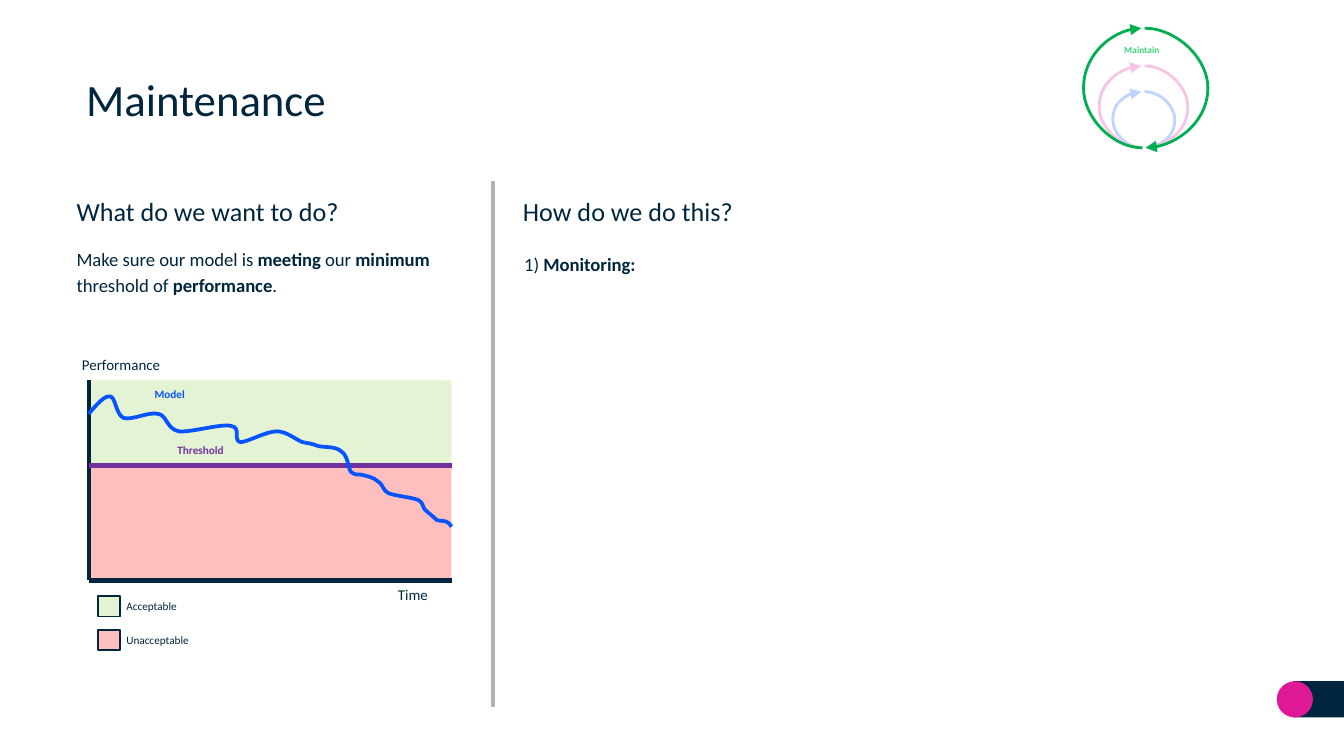
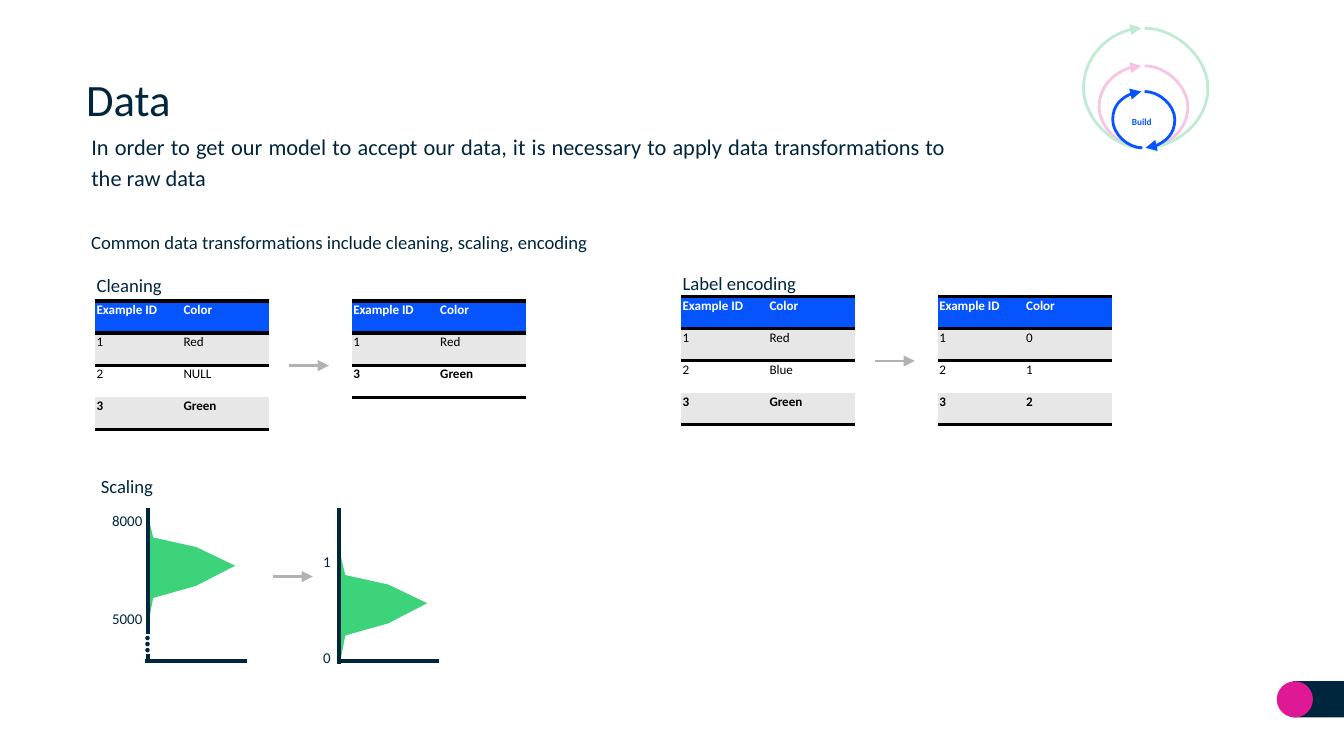
from lxml import etree
from pptx import Presentation
from pptx.dml.color import RGBColor
from pptx.enum.shapes import MSO_CONNECTOR, MSO_SHAPE
from pptx.enum.text import MSO_ANCHOR, MSO_AUTO_SIZE, PP_ALIGN
from pptx.oxml.ns import qn
from pptx.util import Pt

RECT, OVAL = MSO_SHAPE.RECTANGLE, MSO_SHAPE.OVAL
STRAIGHT, CURVE = MSO_CONNECTOR.STRAIGHT, MSO_CONNECTOR.CURVE
LEFT, CENTER = PP_ALIGN.LEFT, PP_ALIGN.CENTER
RIGHT, JUSTIFY = PP_ALIGN.RIGHT, PP_ALIGN.JUSTIFY
MIDDLE = MSO_ANCHOR.MIDDLE
NO_FIT, GROW = MSO_AUTO_SIZE.NONE, MSO_AUTO_SIZE.SHAPE_TO_FIT_TEXT

FONT = "Calibri"
NAVY, BLUE, PINK, GREEN = "00263E", "0654FE", "DF1995", "00B050"
MINT, PURPLE, GRAY, STRIPE = "3DD37A", "7030A0", "B2B2B2", "E7E7E7"
LIME, RED, WHITE, BLACK = "92D050", "FF0000", "FFFFFF", "000000"
PLAIN_TABLE = "{2D5ABB26-0587-4C30-8999-92F81FD0307C}"

# loop: colour, top, left bulge, right bulge
LOOPS = {
    "Build": (BLUE, 49, 15.9, 16.2),
    "Improve": (PINK, 35.3, 23.2, 23.2),
    "Maintain": (GREEN, 15.1, 31.6, 34),
}
MODEL_START = (47.5, 221.8)
MODEL_CURVE = [
    (51.8, 216.7), (56.2, 211.7), (59, 212.4), (61.9, 212.4), (61.9, 221.8), (66.2, 223.9),
    (70.6, 225.4), (79.9, 220.3), (85, 221.8), (89.3, 222.5), (89.3, 229.7), (95.8, 231.1),
    (102.2, 231.8), (118.8, 226.8), (123.8, 228.2), (129.6, 229), (124.6, 236.2), (128.9, 236.9),
    (132.5, 236.9), (142.6, 231.1), (148.3, 231.1), (153.4, 231.1), (158.4, 235.4), (162, 236.9),
    (165.6, 237.6), (167, 237.6), (170.6, 239), (174.2, 239.8), (180, 239), (182.9, 241.9),
    (186.5, 244.1), (186.5, 250.6), (187.9, 252.7), (190.1, 254.9), (193, 254.2), (193, 254.2),
    (195.8, 254.9), (200.2, 255.6), (202.3, 257.8), (205.2, 259.2), (204.5, 262.1), (208.1, 264.2),
    (211.7, 265.7), (220.3, 266.4), (223.9, 267.8), (226.8, 269.3), (226.1, 270.7), (227.5, 272.9),
    (229, 274.3), (232.6, 277.2), (234, 278.6), (236.2, 279.4), (237.6, 278.6), (239, 279.4),
    (240.5, 280.1), (241.2, 280.8), (241.9, 282.2),
]
DISTRIBUTION = [(0, 0), (3.6, 15.1), (26.6, 20.2), (47.5, 30.2), (26.6, 41), (3.6, 47.5), (0.7, 62.6)]


def rgb(color):
    return RGBColor.from_string(color)


class Deck:
    """Holds the shared style and the slide being built."""

    def __init__(self):
        self.prs = Presentation()
        self.prs.slide_width, self.prs.slide_height = Pt(720), Pt(405)
        self.slide = None

    def new_slide(self, title):
        self.slide = self.prs.slides.add_slide(self.prs.slide_layouts[5])
        self.shape(RECT, 692.6, 365, 27.4, 19.4, NAVY)
        self.shape(OVAL, 684, 365, 19.4, 19.4, PINK)
        heading = self.slide.shapes.title
        heading.left, heading.top, heading.width, heading.height = Pt(38.9), Pt(33.1), Pt(644.4), Pt(39.6)
        self.set_text(heading.text_frame, title, 24, inset=7.2)
        heading.text_frame.auto_size = NO_FIT
        heading.text_frame.vertical_anchor = MIDDLE

    def set_text(self, frame, text, size, color=NAVY, bold=False, align=LEFT, inset=0.7):
        frame.word_wrap = True
        frame.margin_left = frame.margin_right = frame.margin_top = frame.margin_bottom = Pt(inset)
        paragraph = frame.paragraphs[0]
        paragraph.alignment = align
        for i, part in enumerate(text.split("*")):
            if part:
                run = paragraph.add_run()
                run.text = part
                font = run.font
                font.name, font.size, font.bold = FONT, Pt(size), bold or i % 2 == 1
                font.color.rgb = rgb(color)

    def text(self, x, y, w, h, text, size, color=NAVY, bold=False, align=LEFT):
        frame = self.slide.shapes.add_textbox(Pt(x), Pt(y), Pt(w), Pt(h)).text_frame
        self.set_text(frame, text, size, color, bold, align)
        frame.paragraphs[0].line_spacing = 1.15
        frame.auto_size = GROW

    def paint(self, shape, fill=None, line=None, width=1, alpha=None):
        shape.shadow.inherit = False
        if fill:
            shape.fill.solid()
            shape.fill.fore_color.rgb = rgb(fill)
        else:
            shape.fill.background()
        if alpha:
            tint = shape._element.spPr.find(qn("a:solidFill"))[0]
            etree.SubElement(tint, qn("a:alpha")).set("val", str(alpha * 1000))
        if line:
            shape.line.color.rgb = rgb(line)
            shape.line.width = Pt(width)
        else:
            shape.line.fill.background()

    def shape(self, kind, x, y, w, h, fill, line=None, alpha=None):
        shape = self.slide.shapes.add_shape(kind, Pt(x), Pt(y), Pt(w), Pt(h))
        self.paint(shape, fill, line, alpha=alpha)

    def line(self, x1, y1, x2, y2, color, width=2.25, arrow=False, kind=STRAIGHT):
        link = self.slide.shapes.add_connector(kind, Pt(x1), Pt(y1), Pt(x2), Pt(y2))
        link.line.color.rgb = rgb(color)
        link.line.width = Pt(width)
        properties = link._element.spPr
        if arrow:
            etree.SubElement(properties.find(qn("a:ln")), qn("a:tailEnd")).set("type", "triangle")
        etree.SubElement(properties, qn("a:effectLst"))
        return properties

    def arrow(self, x, y):
        self.line(x, y, x + 21.4, y, GRAY, 1.5, arrow=True)

    def arc(self, x, top, bulge, color, turned=False):
        span = 0.54
        properties = self.line(x, top, x + span, 79.2, color, 1.5, True, CURVE)
        if turned:
            properties.find(qn("a:xfrm")).set("rot", "10800000")
        guides = properties.find(qn("a:prstGeom")).find(qn("a:avLst"))
        guide = etree.SubElement(guides, qn("a:gd"))
        guide.set("name", "adj1")
        guide.set("fmla", f"val {round(bulge / span * 100000)}")

    def loops(self, active, label_top, label_color):
        others = [name for name in LOOPS if name != active]
        for name in others + [active]:
            if name == active:
                self.shape(OVAL, 577.4, 10.8, 72, 72, WHITE, alpha=75)
            color, top, left_bulge, right_bulge = LOOPS[name]
            self.arc(611.4, top, left_bulge, color, turned=True)
            self.arc(613.2, top, right_bulge, color)
        self.text(585.4, label_top, 52.6, 8.6, active, 5, label_color, True, CENTER)

    def outline(self, start, points, closed):
        builder = self.slide.shapes.build_freeform(Pt(start[0]), Pt(start[1]))
        builder.add_line_segments([(Pt(x), Pt(y)) for x, y in points], close=closed)
        return builder.convert_to_shape()

    def curve(self, start, controls, color, width):
        shape = self.outline(start, controls, False)
        self.paint(shape, line=color, width=width)
        route = next(shape._element.iter(qn("a:path")))
        steps = route.findall(qn("a:lnTo"))
        for i in range(0, len(steps), 3):
            bend = etree.SubElement(route, qn("a:cubicBezTo"))
            for step in steps[i:i + 3]:
                bend.append(step[0])
                route.remove(step)

    def distribution(self, x, y):
        points = [(x + dx, y + dy) for dx, dy in DISTRIBUTION]
        self.paint(self.outline(points[0], points[1:], True), MINT)

    def rule_cell(self, cell, sides):
        for side in sides:
            border = etree.SubElement(cell._tc.get_or_add_tcPr(), qn(f"a:ln{side}"))
            border.set("w", str(Pt(2)))
            paint = etree.SubElement(border, qn("a:solidFill"))
            etree.SubElement(paint, qn("a:srgbClr")).set("val", BLACK)

    def table(self, x, y, records):
        rows = [("Example ID", "Color")] + records
        last = len(rows) - 1
        table = self.slide.shapes.add_table(
            len(rows), 2, Pt(x), Pt(y), Pt(93.2), Pt(17.2 * len(rows))).table
        table._tbl.tblPr.find(qn("a:tableStyleId")).text = PLAIN_TABLE
        for column in table.columns:
            column.width = Pt(46.6)
        for r, values in enumerate(rows):
            table.rows[r].height = Pt(17.2)
            fill = BLUE if r == 0 else STRIPE if r % 2 else WHITE
            sides = "TB" if r == 0 else "B" if r == last else "T" if r == 1 else ""
            for c, value in enumerate(values):
                cell = table.cell(r, c)
                self.set_text(cell.text_frame, value, 7, BLACK if r else WHITE, r in (0, last))
                cell.margin_left = cell.margin_right = cell.margin_top = cell.margin_bottom = Pt(0.7)
                self.rule_cell(cell, sides)
                cell.fill.solid()
                cell.fill.fore_color.rgb = rgb(fill)


def maintenance(deck):
    deck.new_slide("Maintenance")
    deck.loops("Maintain", 22.3, MINT)
    for x, question in ((40.3, "What do we want to do?"), (279.4, "How do we do this?")):
        deck.text(x, 101.5, 215.3, 20.9, question, 14)
    deck.text(40.3, 130.3, 223.9, 29.5,
              "Make sure our model is *meeting* our *minimum* threshold of *performance*.", 10)
    deck.text(280.1, 133.2, 92.9, 15.1, "1) *Monitoring:*", 10)
    deck.line(264.2, 97.2, 264.2, 378.7, GRAY)

    left, right, top, threshold, bottom = 47.5, 241.9, 203.8, 249.5, 311
    deck.shape(RECT, left, threshold, right - left, bottom - threshold, RED, alpha=25)
    deck.shape(RECT, left, top, right - left, threshold - top, LIME, alpha=25)
    deck.line(left, top, left, bottom, NAVY)
    deck.line(right, bottom, left, bottom, NAVY)
    deck.line(right, threshold, left, threshold, PURPLE, 3)
    deck.curve(MODEL_START, MODEL_CURVE, BLUE, 2)
    deck.text(43.2, 188.6, 72, 15.8, "Performance", 8)
    deck.text(212.4, 311.8, 35.3, 15.8, "Time", 8)
    deck.text(82.1, 205.9, 35.3, 12.2, "Model", 6, BLUE, True)
    deck.text(94.3, 235.8, 59, 12.2, "Threshold", 6, PURPLE, True)
    for i, (zone, color) in enumerate((("Acceptable", LIME), ("Unacceptable", RED))):
        y = 319.5 + 18 * i
        deck.shape(RECT, 52.6, y, 11.5, 10.8, color, NAVY, alpha=25)
        deck.text(67, y, 74.2, 12.2, zone, 6)


def data(deck):
    deck.new_slide("Data")
    deck.loops("Build", 60.5, BLUE)
    deck.text(48.2, 68.4, 459.4, 34.6,
              "In order to get our model to accept our data, it is necessary to apply "
              "data transformations to the raw data", 12, align=JUSTIFY)
    deck.text(48.2, 121, 480.2, 15.1,
              "Common data transformations include cleaning, scaling, encoding", 10)

    examples = (
        ("Cleaning", 51.1, 144, 161.3,
         [("1", "Red"), ("2", "NULL"), ("3", "Green")], [("1", "Red"), ("3", "Green")]),
        ("Label encoding", 365, 143.3, 158.8,
         [("1", "Red"), ("2", "Blue"), ("3", "Green")], [("1", "0"), ("2", "1"), ("3", "2")]),
    )
    for name, x, label_top, y, before, after in examples:
        deck.text(x, label_top, 103.7, 15.1, name, 10)
        deck.table(x, y, before)
        deck.arrow(x + 103.7, y + 34.6)
        deck.table(x + 137.5, y, after)

    deck.text(53.3, 252, 82.8, 15.1, "Scaling", 10)
    deck.distribution(78.5, 272.9)
    deck.distribution(181.4, 293)
    deck.arrow(146.2, 308.9)
    top, base = 272.2, 354.2
    for x, start, end in ((79.2, top, 339.8), (79.2, 350.6, base), (181.4, top, 355.7)):
        deck.line(x, start, x, end, NAVY)
    for x in (77.8, 180.7):
        deck.line(x + 54.4, base, x, base, NAVY)
    for i in range(3):
        deck.shape(OVAL, 77.8, 340.6 + 3.25 * i, 2.4, 2.4, NAVY)
    for x, y, w, value in ((51.8, 272.2, 25.2, "8000"), (51.8, 324.7, 25.2, "5000"),
                           (168.5, 293.8, 9.4, "1"), (168.5, 345.6, 9.4, "0")):
        deck.text(x, y, w, 12.2, value, 8, align=RIGHT)


def main():
    deck = Deck()
    maintenance(deck)
    data(deck)
    deck.prs.save("out.pptx")


if __name__ == "__main__":
    main()
